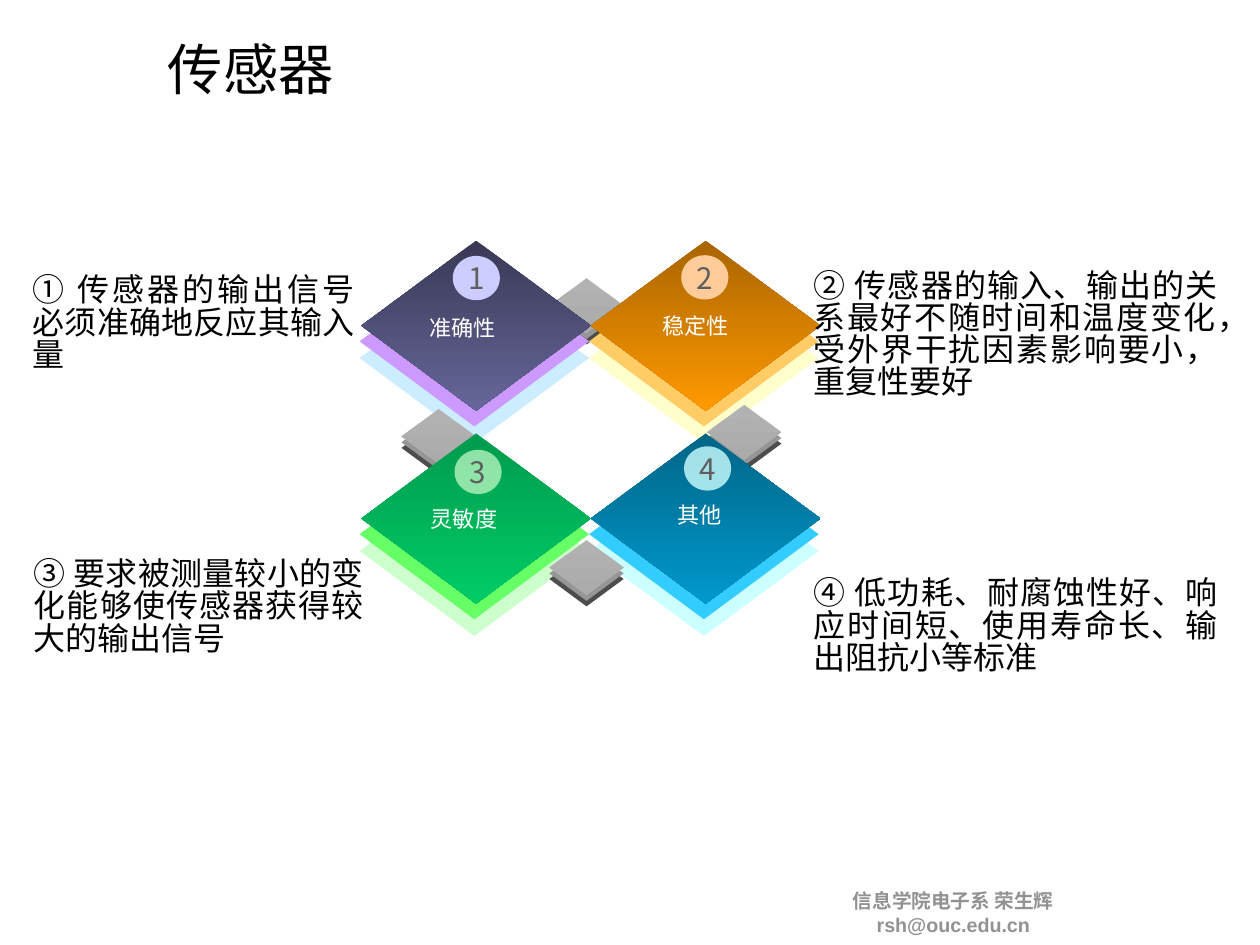
from lxml import etree
from pptx import Presentation
from pptx.dml.color import RGBColor
from pptx.enum.shapes import MSO_SHAPE
from pptx.enum.text import MSO_ANCHOR, PP_ALIGN
from pptx.oxml.ns import qn
from pptx.util import Cm, Pt

DIAMOND, OVAL = MSO_SHAPE.DIAMOND, MSO_SHAPE.OVAL
TOP, MIDDLE = MSO_ANCHOR.TOP, MSO_ANCHOR.MIDDLE
LEFT, CENTER, JUSTIFY = PP_ALIGN.LEFT, PP_ALIGN.CENTER, PP_ALIGN.JUSTIFY
CJK, LATIN = "Noto Sans CJK SC", "Arial"

TITLE = "传感器"
FOOTER = "信息学院电子系 荣生辉\vrsh@ouc.edu.cn"

# number: label, label place, badge place, badge colour, badge opacity, layer colours
TILES = {
    1: ("准确性", (12.17, 8.89), (12.98, 7.34), "CCCCFF", 100,
        ("CCECFF", "CC99FF", ("393956", "666699"))),
    2: ("稳定性", (18.85, 8.84), (19.53, 7.32), "FFCC99", 100,
        ("FFFFCC", "FFCC66", ("A96500", "FF9900"))),
    3: ("灵敏度", (12.22, 14.35), (13.03, 12.9), "CCFFCC", 70,
        ("CCFFCC", "66FF66", ("009B4E", "00CC66"))),
    4: ("其他", (19.28, 14.25), (19.61, 12.8), "CCFFFF", 80,
        ("CCFFFF", "33CCFF", ("006587", "0099CC"))),
}
LINKS = {"top": (15.75, 7.98), "right": (20.27, 11.61),
         "left": (11.51, 11.73), "bottom": (15.75, 15.49)}
LINK_COLORS = ("4D4D4D", "969696", ("B2B2B2", "ABABAB"))
NOTES = [
    ("传感器的输出信号必须准确地反应其输入量", (0.81, 7.21, 9.5, 4.19), MIDDLE),
    ("传感器的输入、输出的关系最好不随时间和温度变化，受外界干扰因素影响要小，重复性要好",
     (23.19, 6.88, 11.86, 5.51), MIDDLE),
    ("要求被测量较小的变化能够使传感器获得较大的输出信号",
     (0.84, 15.93, 9.73, 4.17), TOP),
    ("低功耗、耐腐蚀性好、响应时间短、使用寿命长、输出阻抗小等标准",
     (23.19, 15.9, 11.86, 4.19), MIDDLE),
]
GRID_LEFT, GRID_TOP, ROW_PITCH = 10.36, 6.9, 5.53
TILE_SIZE, TILE_LAYERS = (6.58, 4.88), ((-0.05, 0.93), (-0.05, 0.45), (0, 0))
LINK_SIZE, LINK_LAYERS = (2.13, 1.57), ((0, 0.33), (0, 0.17), (0, 0))
BADGE_SIZE, LABEL_SIZE = (1.35, 1.27), (2.4, 1.14)

deck = Presentation()
deck.slide_width, deck.slide_height = Cm(36.12), Cm(27.1)
slide = deck.slides.add_slide(deck.slide_layouts[6])


def rgb(color):
    return RGBColor.from_string(color)


def write(shape, text, size, color, align=LEFT, anchor=TOP, inset=0.13,
          font=CJK, bold=False, number=None):
    frame = shape.text_frame
    frame.word_wrap, frame.vertical_anchor = True, anchor
    frame.margin_left = frame.margin_right = Cm(inset)
    frame.margin_top = frame.margin_bottom = Cm(inset)
    paragraph = frame.paragraphs[0]
    paragraph.text, paragraph.alignment = text, align
    properties = paragraph._p.get_or_add_pPr()
    if number:
        paragraph.line_spacing = 0.84
        etree.SubElement(properties, qn("a:buAutoNum"),
                         type="circleNumDbPlain", startAt=str(number))
    style = paragraph.font
    style.size, style.bold, style.name = Pt(size), bold, font
    style.color.rgb = rgb(color)
    etree.SubElement(properties.find(qn("a:defRPr")), qn("a:ea"), typeface=CJK)


def add_text(box, *args, **options):
    shape = slide.shapes.add_textbox(*map(Cm, box))
    write(shape, *args, **options)
    return shape


def add_plain(kind, box, color, opacity=100):
    shape = slide.shapes.add_shape(kind, *map(Cm, box))
    shape.shadow.inherit = False
    shape.line.fill.background()
    if isinstance(color, tuple):
        shape.fill.gradient()
        shape.fill.gradient_angle = 270
        for stop, shade in zip(shape.fill.gradient_stops, color):
            stop.color.rgb = rgb(shade)
    else:
        shape.fill.solid()
        shape.fill.fore_color.rgb = rgb(color)
        if opacity < 100:
            fill = shape._element.spPr.find(qn("a:solidFill"))
            etree.SubElement(fill[0], qn("a:alpha"), val=str(opacity * 1000))
    return shape


def add_stack(left, top, size, layers, colors):
    for (dx, dy), color in zip(layers, colors):
        add_plain(DIAMOND, (left + dx, top + dy, *size), color)


def add_link(side):
    add_stack(*LINKS[side], LINK_SIZE, LINK_LAYERS, LINK_COLORS)


def add_tile(number):
    label, label_place, badge_place, badge_color, opacity, colors = TILES[number]
    row, column = divmod(number - 1, 2)
    add_stack(GRID_LEFT + column * TILE_SIZE[0], GRID_TOP + row * ROW_PITCH,
              TILE_SIZE, TILE_LAYERS, colors)
    add_text((*label_place, *LABEL_SIZE), label, 18, "FFFFFF")
    badge = add_plain(OVAL, (*badge_place, *BADGE_SIZE), badge_color, opacity)
    write(badge, str(number), 24, "5F5F5F", CENTER, MIDDLE, inset=0)


add_text((24.13, 25.34, 6.4, 1.67), FOOTER, 16, "929292", CENTER, MIDDLE,
         font=LATIN, bold=True)
add_link("top")
add_tile(2)
add_tile(1)
add_link("right")
add_tile(4)
add_link("left")
add_tile(3)
add_link("bottom")
for number, (note, box, anchor) in enumerate(NOTES, 1):
    add_text(box, " " + note, 26, "000000", JUSTIFY, anchor, number=number)
title = add_text((1.02, 0.43, 12.34, 3.05), TITLE, 45, "000000", CENTER, MIDDLE)
title.rotation = 359.6

deck.save("out.pptx")
